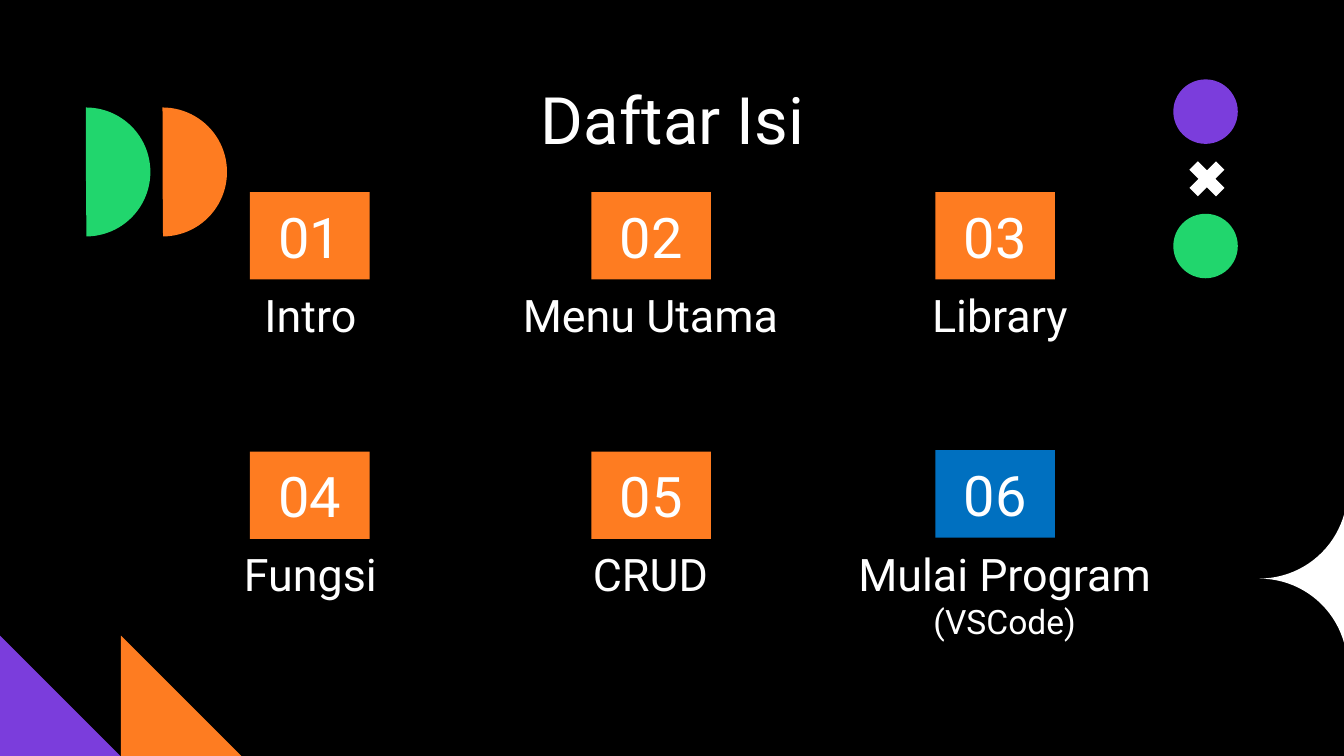
from typing import NamedTuple

from pptx import Presentation
from pptx.dml.color import RGBColor
from pptx.enum.shapes import MSO_SHAPE
from pptx.enum.text import MSO_ANCHOR, PP_ALIGN
from pptx.util import Inches, Pt

FONT = "Roboto"
BLACK, WHITE = "000000", "FFFFFF"
ORANGE, GREEN, PURPLE, BLUE = "FE7C21", "21D66D", "7B3DDC", "0070C0"


class Box(NamedTuple):
    left: float
    top: float
    width: float
    height: float


class Line(NamedTuple):
    text: str
    size: float


class Chapter(NamedTuple):
    number: str
    number_box: Box
    color: str
    label_box: Box
    lines: list[Line]


class Ornament(NamedTuple):
    kind: MSO_SHAPE
    box: Box
    color: str
    adjustments: tuple[float, ...] = ()
    rotation: float = 0


def set_color(color_owner, color: str) -> None:
    """Give a fill or a font a colour from a hex string."""
    if hasattr(color_owner, "solid"):
        color_owner.solid()
        color_owner.fore_color.rgb = RGBColor.from_string(color)
    else:
        color_owner.color.rgb = RGBColor.from_string(color)


def write_lines(shape, lines: list[Line], anchor: MSO_ANCHOR) -> None:
    frame = shape.text_frame
    frame.word_wrap = True
    frame.vertical_anchor = anchor
    frame.margin_left = frame.margin_right = Inches(0.1)
    frame.margin_top = frame.margin_bottom = Inches(0.1)
    for index, line in enumerate(lines):
        paragraph = frame.add_paragraph() if index else frame.paragraphs[0]
        paragraph.alignment = PP_ALIGN.CENTER
        run = paragraph.add_run()
        run.text = line.text
        run.font.name = FONT
        run.font.size = Pt(line.size)
        set_color(run.font, WHITE)


def add_text(slide, box: Box, lines: list[Line], anchor: MSO_ANCHOR) -> None:
    text_box = slide.shapes.add_textbox(*map(Inches, box))
    write_lines(text_box, lines, anchor)


def add_ornament(slide, ornament: Ornament):
    shape = slide.shapes.add_shape(ornament.kind, *map(Inches, ornament.box))
    shape.shadow.inherit = False
    set_color(shape.fill, ornament.color)
    shape.line.fill.background()
    shape.rotation = ornament.rotation
    for index, value in enumerate(ornament.adjustments):
        shape.adjustments[index] = value
    return shape


def add_chapter(slide, chapter: Chapter) -> None:
    tile = add_ornament(
        slide, Ornament(MSO_SHAPE.RECTANGLE, chapter.number_box, chapter.color)
    )
    write_lines(tile, [Line(chapter.number, 30)], MSO_ANCHOR.MIDDLE)
    add_text(slide, chapter.label_box, chapter.lines, MSO_ANCHOR.BOTTOM)


def build_chapters() -> list[Chapter]:
    names = ["Intro", "Menu Utama", "Library", "Fungsi", "CRUD"]
    tile_lefts = [1.86, 4.4, 6.96]
    label_lefts = [1.03, 3.56, 6.16]
    row_tops = [1.43, 3.36]
    chapters = []
    for index, name in enumerate(names):
        row, column = divmod(index, 3)
        top = row_tops[row]
        chapters.append(Chapter(
            f"{index + 1:02}",
            Box(tile_lefts[column], top, 0.89, 0.65),
            ORANGE,
            Box(label_lefts[column], top + 0.68, 2.56, 0.53),
            [Line(name, 24)],
        ))
    # The last chapter stands out and has a second line
    chapters.append(Chapter(
        "06", Box(tile_lefts[2], 3.35, 0.89, 0.65), BLUE,
        Box(6.02, 4.34, 2.91, 0.53),
        [Line("Mulai Program", 24), Line("(VSCode)", 18)],
    ))
    return chapters


# Pie angles run clockwise from the top to the bottom
RIGHT_HALF = (162, 53.71)
ORNAMENTS = [
    Ornament(MSO_SHAPE.PLAQUE, Box(9.37, 3.65, 1.31, 1.31), WHITE, (0.5,)),
    Ornament(MSO_SHAPE.PIE, Box(0.73, 0.8, 0.96, 0.96), ORANGE, RIGHT_HALF),
    Ornament(MSO_SHAPE.PIE, Box(0.16, 0.8, 0.96, 0.96), GREEN, RIGHT_HALF),
    Ornament(MSO_SHAPE.OVAL, Box(8.73, 1.59, 0.48, 0.48), GREEN, (), 180),
    Ornament(MSO_SHAPE.OVAL, Box(8.73, 0.59, 0.48, 0.48), PURPLE, (), 180),
    Ornament(MSO_SHAPE.MATH_MULTIPLY, Box(8.79, 1.14, 0.38, 0.38), WHITE, (0.235,), 180),
    Ornament(MSO_SHAPE.RIGHT_TRIANGLE, Box(0, 4.73, 0.9, 0.9), PURPLE),
    Ornament(MSO_SHAPE.RIGHT_TRIANGLE, Box(0.9, 4.73, 0.9, 0.9), ORANGE),
]


def main() -> None:
    # A slide in the ratio 16:9
    presentation = Presentation()
    presentation.slide_width = Inches(10)
    presentation.slide_height = Inches(10 * 9 / 16)
    slide = presentation.slides.add_slide(presentation.slide_layouts[6])
    set_color(slide.background.fill, BLACK)

    # Heading
    add_text(slide, Box(2.15, 0.49, 5.71, 0.63), [Line("Daftar Isi", 35)], MSO_ANCHOR.TOP)

    # Decoration
    for ornament in ORNAMENTS:
        add_ornament(slide, ornament)

    # Numbered contents
    for chapter in build_chapters():
        add_chapter(slide, chapter)

    presentation.save("out.pptx")


if __name__ == "__main__":
    main()
